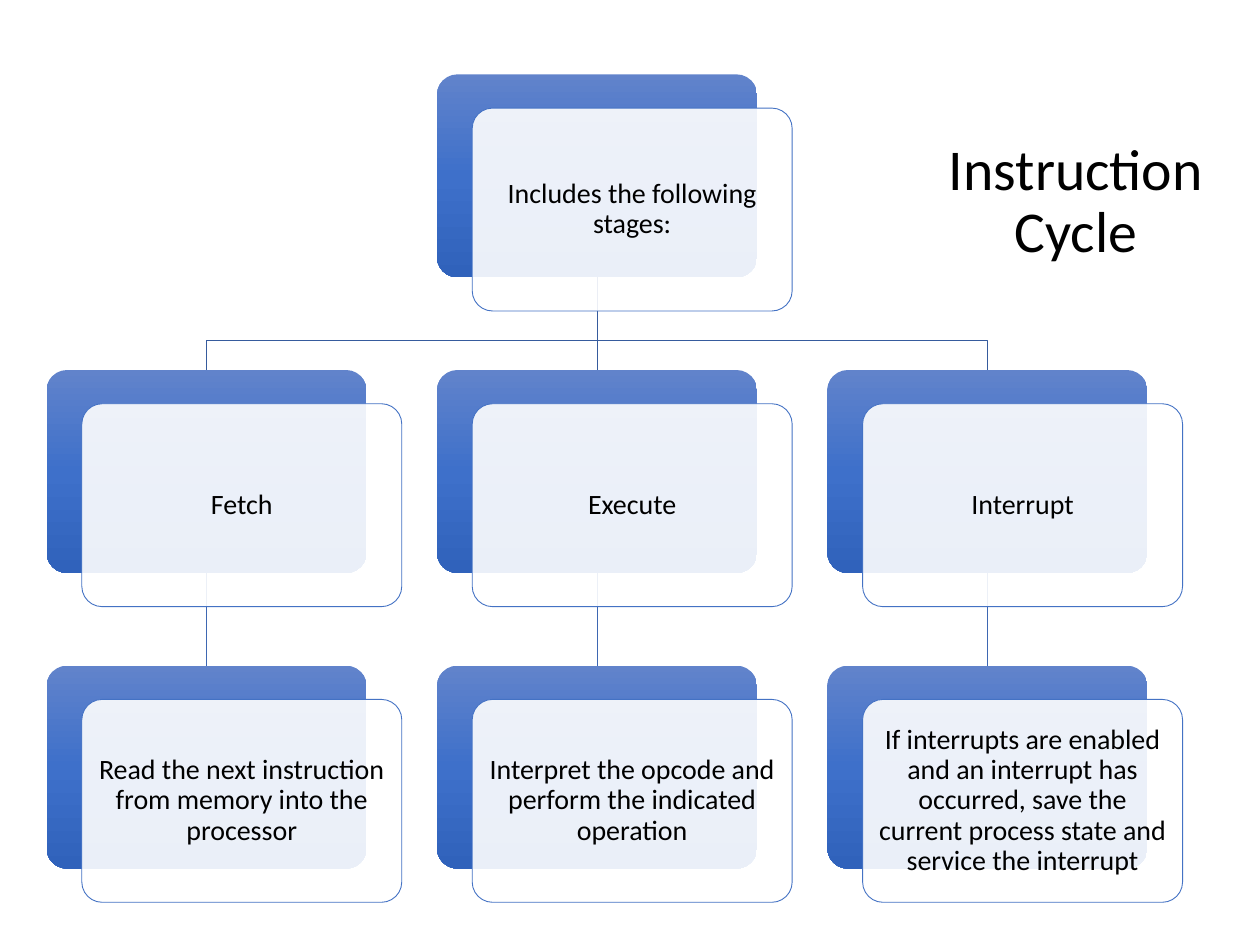
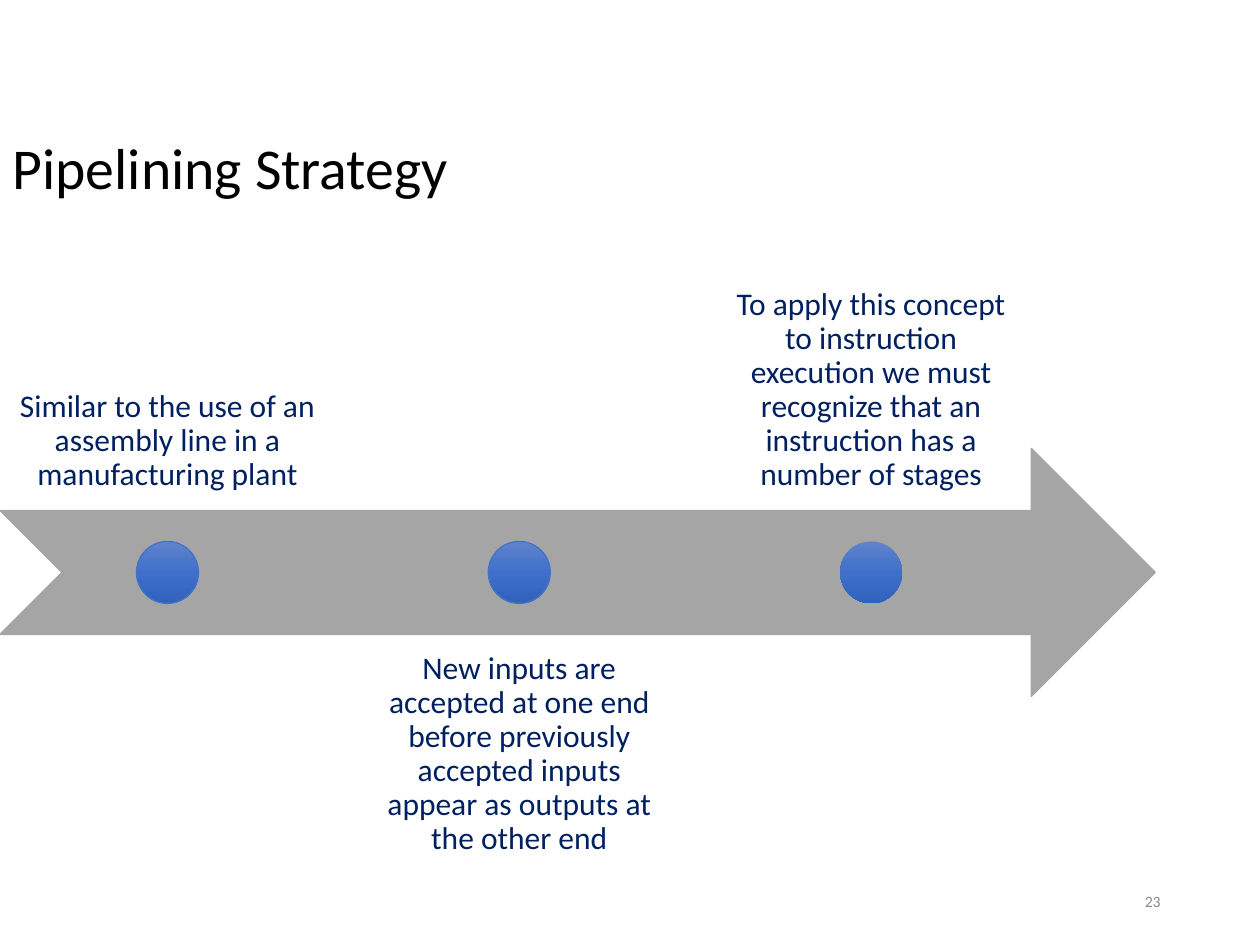
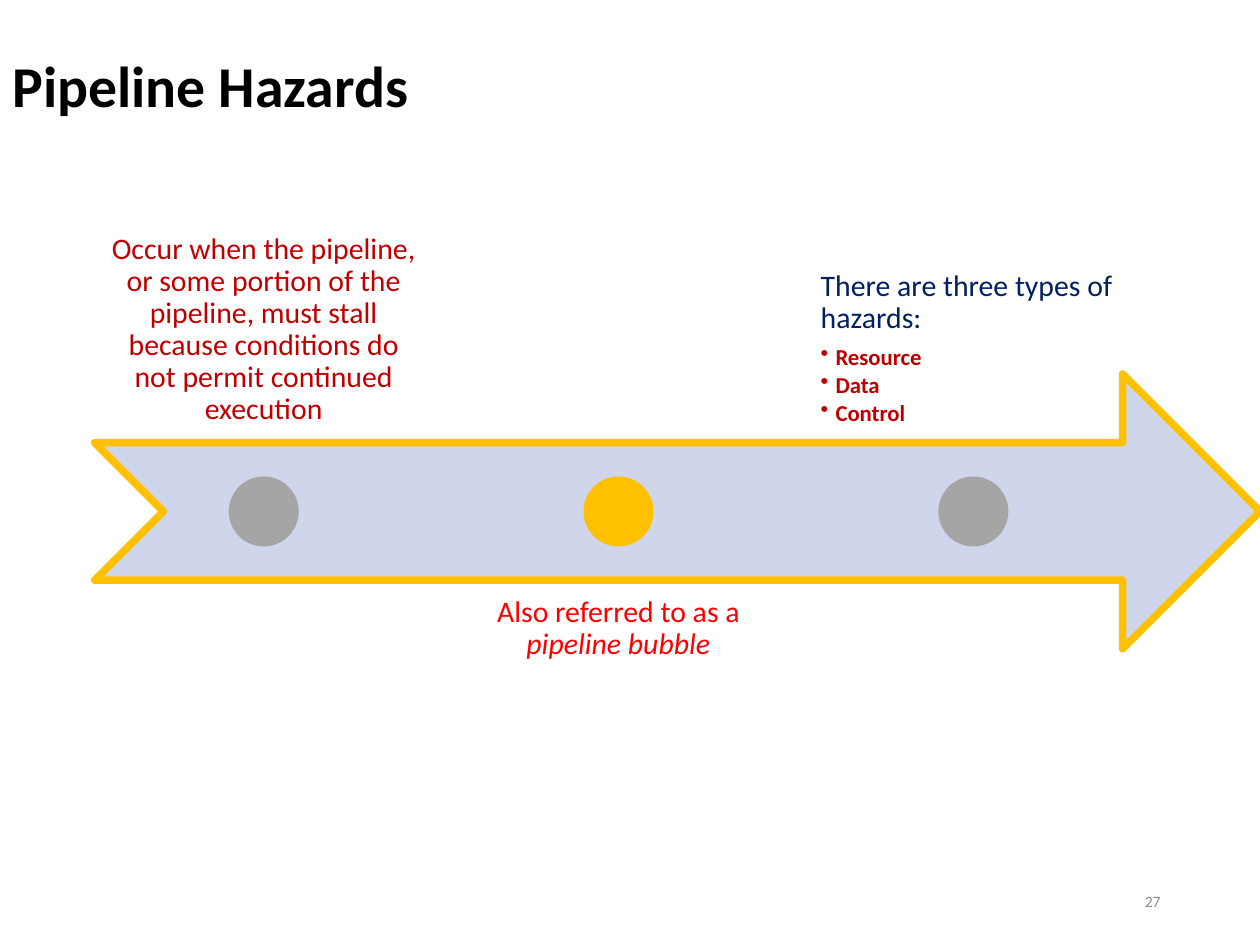
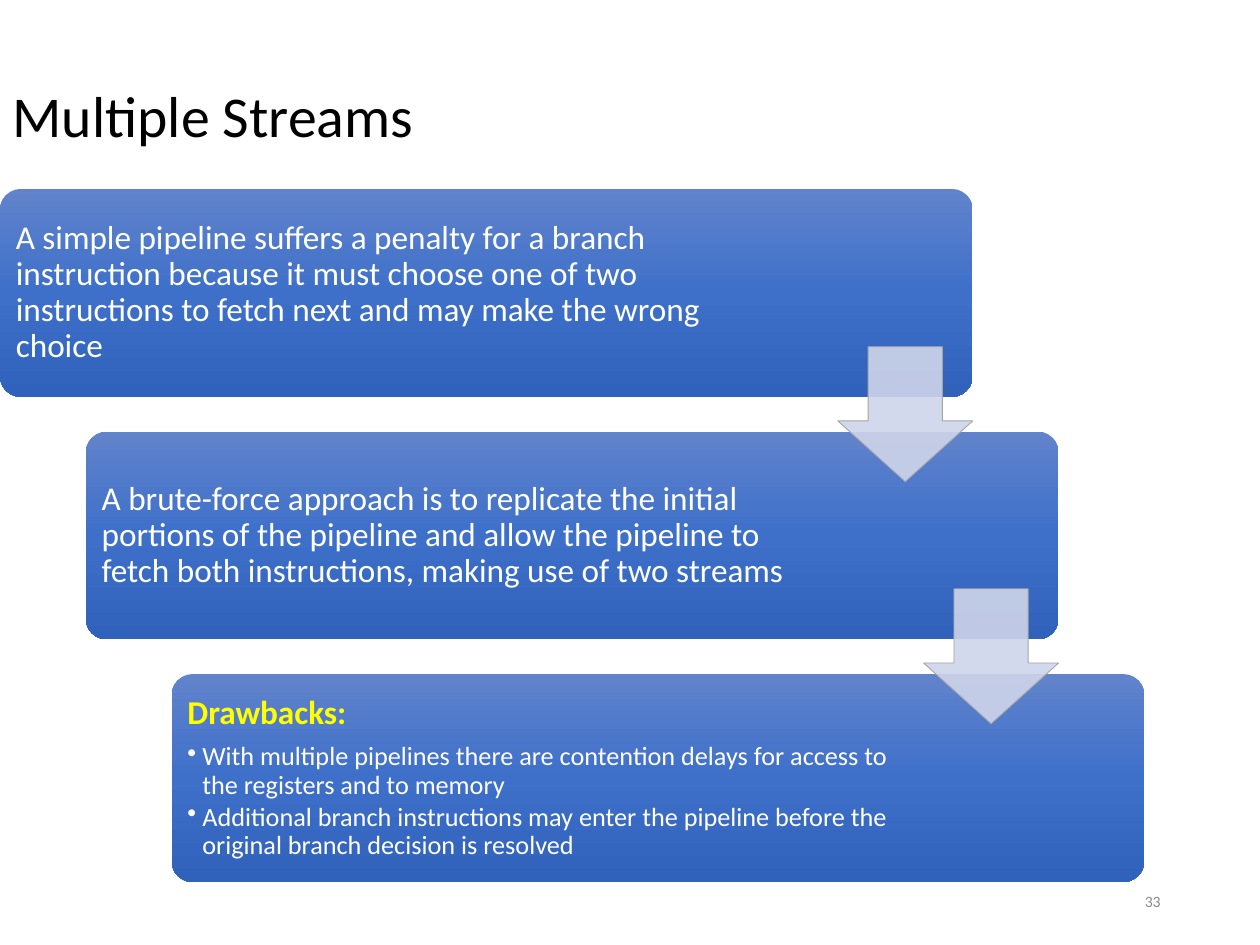
from copy import deepcopy

from lxml import etree
from pptx import Presentation
from pptx.dml.color import RGBColor
from pptx.enum.shapes import MSO_CONNECTOR, MSO_SHAPE
from pptx.enum.text import MSO_ANCHOR, MSO_AUTO_SIZE, PP_ALIGN
from pptx.oxml.ns import qn
from pptx.util import Cm, Pt

ROUNDED = MSO_SHAPE.ROUNDED_RECTANGLE
OVAL = MSO_SHAPE.OVAL
NOTCHED_ARROW = MSO_SHAPE.NOTCHED_RIGHT_ARROW
DOWN_ARROW = MSO_SHAPE.DOWN_ARROW
STRAIGHT = MSO_CONNECTOR.STRAIGHT
LEFT, CENTER, RIGHT = PP_ALIGN.LEFT, PP_ALIGN.CENTER, PP_ALIGN.RIGHT
TOP, MIDDLE, BOTTOM = MSO_ANCHOR.TOP, MSO_ANCHOR.MIDDLE, MSO_ANCHOR.BOTTOM
NO_AUTOSIZE = MSO_AUTO_SIZE.NONE

FONT = "Calibri"
BLACK = RGBColor(0x00, 0x00, 0x00)
WHITE = RGBColor(0xFF, 0xFF, 0xFF)
BLUE = RGBColor(0x44, 0x72, 0xC4)
NAVY = RGBColor(0x00, 0x20, 0x60)
PALE_BLUE = RGBColor(0xCF, 0xD5, 0xEA)
UPPER_LINK = RGBColor(0x36, 0x5B, 0x9D)
LOWER_LINK = RGBColor(0x3E, 0x67, 0xB2)
GRAY = RGBColor(0xA5, 0xA5, 0xA5)
NUMBER_GRAY = RGBColor(0x8C, 0x8C, 0x8C)
GOLD = RGBColor(0xFF, 0xC0, 0x00)
YELLOW = RGBColor(0xFF, 0xFF, 0x00)
RED = RGBColor(0xFF, 0x00, 0x00)
DARK_RED = RGBColor(0xC0, 0x00, 0x00)
GRADIENT = (
    RGBColor(0x61, 0x83, 0xCB),
    RGBColor(0x3E, 0x70, 0xCA),
    RGBColor(0x30, 0x62, 0xBB),
)


def add_shape(slide, kind, box, fill, line=None, line_width=0.5, adjustments=(), alpha=None):
    shape = slide.shapes.add_shape(kind, *[Cm(length) for length in box])
    shape.shadow.inherit = False
    for index, value in enumerate(adjustments):
        shape.adjustments[index] = value
    if fill == GRADIENT:
        shape.fill.gradient()
        shape.fill.gradient_angle = 270
        stop_list = shape._element.spPr.find(".//" + qn("a:gsLst"))
        stop_list.insert(1, deepcopy(stop_list[0]))
        for index, stop in enumerate(shape.fill.gradient_stops):
            stop.position = index / 2
            stop.color.rgb = fill[index]
    else:
        shape.fill.solid()
        shape.fill.fore_color.rgb = fill
    if alpha:
        color = shape._element.spPr.find(qn("a:solidFill"))[0]
        etree.SubElement(color, qn("a:alpha")).set("val", str(alpha * 1000))
    if line is None:
        shape.line.fill.background()
    else:
        shape.line.color.rgb = line
        shape.line.width = Pt(line_width)
    return shape


def write_text(shape, paragraphs, alignment, anchor, inset=None, line_spacing=0.9):
    frame = shape.text_frame
    frame.word_wrap = True
    frame.auto_size = NO_AUTOSIZE
    frame.vertical_anchor = anchor
    if inset is not None:
        frame.margin_left = frame.margin_right = Cm(inset)
        frame.margin_top = frame.margin_bottom = Cm(inset)
    for position, runs in enumerate(paragraphs):
        is_bullet = position > 0
        paragraph = frame.add_paragraph() if is_bullet else frame.paragraphs[0]
        paragraph.alignment = alignment
        paragraph.line_spacing = line_spacing
        paragraph.space_after = Pt(runs[0][1] * (0.15 if is_bullet else 0.35))
        if is_bullet:
            paragraph.level = 1
            properties = paragraph._p.get_or_add_pPr()
            properties.set("marL", str(Cm(0.3)))
            properties.set("indent", str(Cm(-0.3)))
            etree.SubElement(properties, qn("a:buChar")).set("char", "•")
        for text, size, color, *style in runs:
            run = paragraph.add_run()
            run.text = text
            run.font.name = FONT
            run.font.size = Pt(size)
            run.font.color.rgb = color
            run.font.bold = "bold" in style
            run.font.italic = "italic" in style


presentation = Presentation()
presentation.slide_width = Cm(25.4)
presentation.slide_height = Cm(19.05)
title_only = presentation.slide_layouts[5]

headings = [
    ("Instruction Cycle", (17.98, 2.54, 7.42, 3.1), CENTER, [], None),
    ("Pipelining Strategy", (0, 1.9, 20.98, 3.1), LEFT, [], "23"),
    ("Pipeline Hazards", (0, 0.64, 20.98, 2.31), LEFT, ["bold"], "27"),
    ("Multiple Streams", (0, 0.84, 20.98, 3.1), LEFT, [], "33"),
]
slides = []
for text, box, alignment, style, number in headings:
    slide = presentation.slides.add_slide(title_only)
    title = slide.shapes.title
    title.left, title.top, title.width, title.height = [Cm(length) for length in box]
    write_text(title, [[(text, 33, BLACK, *style)]], alignment, MIDDLE)
    if number:
        number_box = slide.shapes.add_textbox(Cm(17.93), Cm(17.65), Cm(5.72), Cm(1.02))
        write_text(number_box, [[(number, 9, NUMBER_GRAY)]], RIGHT, MIDDLE, line_spacing=1.0)
    slides.append(slide)
cycle_slide, strategy_slide, hazards_slide, streams_slide = slides

CARD_WIDTH, CARD_HEIGHT = 6.45, 4.09
column_lefts = [0.94 + 7.87 * column for column in range(3)]
row_tops = [1.5 + 5.96 * row for row in range(3)]
column_centers = [left + CARD_WIDTH / 2 for left in column_lefts]
root_center = column_centers[1]
root_bottom = row_tops[0] + CARD_HEIGHT
bend = 6.86

for center in column_centers:
    links = [(row_tops[1] + CARD_HEIGHT, row_tops[2], LOWER_LINK)]
    if center == root_center:
        links.append((root_bottom, row_tops[1], UPPER_LINK))
    else:
        builder = cycle_slide.shapes.build_freeform(Cm(root_center), Cm(root_bottom))
        corners = [(root_center, bend), (center, bend), (center, row_tops[1])]
        builder.add_line_segments([(Cm(x), Cm(y)) for x, y in corners], close=False)
        branch = builder.convert_to_shape()
        branch.shadow.inherit = False
        branch.fill.background()
        branch.line.color.rgb = UPPER_LINK
        branch.line.width = Pt(0.5)
    for start, end, color in links:
        link = cycle_slide.shapes.add_connector(
            STRAIGHT, Cm(center), Cm(start), Cm(center), Cm(end)
        )
        link.line.color.rgb = color
        link.line.width = Pt(0.5)
        etree.SubElement(link._element.spPr, qn("a:effectLst"))

cards = [
    (1, 0, "Includes the following stages:"),
    (0, 1, "Fetch"),
    (0, 2, "Read the next instruction from memory into the processor"),
    (1, 1, "Execute"),
    (1, 2, "Interpret the opcode and perform the indicated operation"),
    (2, 1, "Interrupt"),
    (2, 2, "If interrupts are enabled and an interrupt has occurred, save the "
           "current process state and service the interrupt"),
]
for column, row, text in cards:
    left, top = column_lefts[column], row_tops[row]
    add_shape(cycle_slide, ROUNDED, (left, top, CARD_WIDTH, CARD_HEIGHT), GRADIENT,
              adjustments=[0.1])
    left, top = left + 0.71, top + 0.68
    add_shape(cycle_slide, ROUNDED, (left, top, CARD_WIDTH, CARD_HEIGHT), WHITE, BLUE,
              adjustments=[0.1], alpha=90)
    label = cycle_slide.shapes.add_textbox(Cm(left + 0.12), Cm(top + 0.12), Cm(6.21), Cm(3.85))
    write_text(label, [[(text, 16, BLACK)]], CENTER, MIDDLE, 0.18)

strategy_steps = [
    ([[("Similar to the use of an assembly line in a manufacturing plant", 18, NAVY)]],
     CENTER, GRADIENT, BLUE),
    ([[("New inputs are accepted at one end before previously accepted inputs "
        "appear as outputs at the other end", 18, NAVY)]],
     CENTER, GRADIENT, BLUE),
    ([[("To apply this concept to instruction execution we must recognize that an "
        "instruction has a number of stages", 18, NAVY)]],
     CENTER, GRADIENT, None),
]
hazard_steps = [
    ([[("Occur when the pipeline, or some portion of the pipeline, must stall because "
        "conditions do not permit continued execution", 17, DARK_RED)]],
     CENTER, GRAY, GRAY),
    ([[("Also referred to as a ", 17, RED), ("pipeline bubble", 17, RED, "italic")]],
     CENTER, GOLD, GOLD),
    ([[("There are three types of hazards:", 17, NAVY)]]
     + [[(hazard, 13, DARK_RED, "bold")] for hazard in ("Resource", "Data", "Control")],
     LEFT, GRAY, GRAY),
]
timelines = [
    (strategy_slide, (0, 9.04, 23.29, 5.0), GRAY, GRAY, 0.75, 0.36, strategy_steps),
    (hazards_slide, (1.91, 7.54, 23.49, 5.54), PALE_BLUE, GOLD, 4.25, 0.33, hazard_steps),
]
for slide, box, fill, line, line_width, inset, steps in timelines:
    add_shape(slide, NOTCHED_ARROW, box, fill, line, line_width)
    arrow_left, arrow_top, arrow_width, arrow_height = box
    step_width = arrow_width * 0.29
    dot_size = arrow_height / 4
    for index, (paragraphs, alignment, dot_fill, dot_line) in enumerate(steps):
        left = arrow_left + index * step_width * 1.05
        is_below = index == 1
        top = arrow_top + arrow_height * (0.75 if is_below else -0.75)
        label = slide.shapes.add_textbox(Cm(left), Cm(top), Cm(step_width), Cm(arrow_height))
        write_text(label, paragraphs, alignment, TOP if is_below else BOTTOM, inset)
        dot_left = left + (step_width - dot_size) / 2
        dot_top = arrow_top + (arrow_height - dot_size) / 2
        add_shape(slide, OVAL, (dot_left, dot_top, dot_size, dot_size), dot_fill, dot_line, 0.75)

streams = [
    (15.09, [[("A simple pipeline suffers a penalty for a branch instruction because it must "
               "choose one of two instructions to fetch next and may make the wrong choice",
               19, WHITE)]]),
    (14.91, [[("A brute-force approach is to replicate the initial portions of the pipeline and "
               "allow the pipeline to fetch both instructions, making use of two streams",
               19, WHITE)]]),
    (14.91, [
        [("Drawbacks:", 19, YELLOW, "bold")],
        [("With multiple pipelines there are contention delays for access to the registers "
          "and to memory", 15, WHITE)],
        [("Additional branch instructions may enter the pipeline before the original branch "
          "decision is resolved", 15, WHITE)],
    ]),
]
for index, (text_width, paragraphs) in enumerate(streams):
    left, top = 1.73 * index, 3.81 + 4.89 * index
    add_shape(streams_slide, ROUNDED, (left, top, 19.61, 4.19), GRADIENT, adjustments=[0.1])
    label = streams_slide.shapes.add_textbox(
        Cm(left + 0.12), Cm(top + 0.12), Cm(text_width), Cm(3.95)
    )
    write_text(label, paragraphs, LEFT, MIDDLE, 0.2)
for index in range(2):
    add_shape(streams_slide, DOWN_ARROW, (16.89 + 1.73 * index, 6.99 + 4.88 * index, 2.72, 2.72),
              PALE_BLUE, GRAY, adjustments=[0.55, 0.45], alpha=90)

presentation.save("out.pptx")
